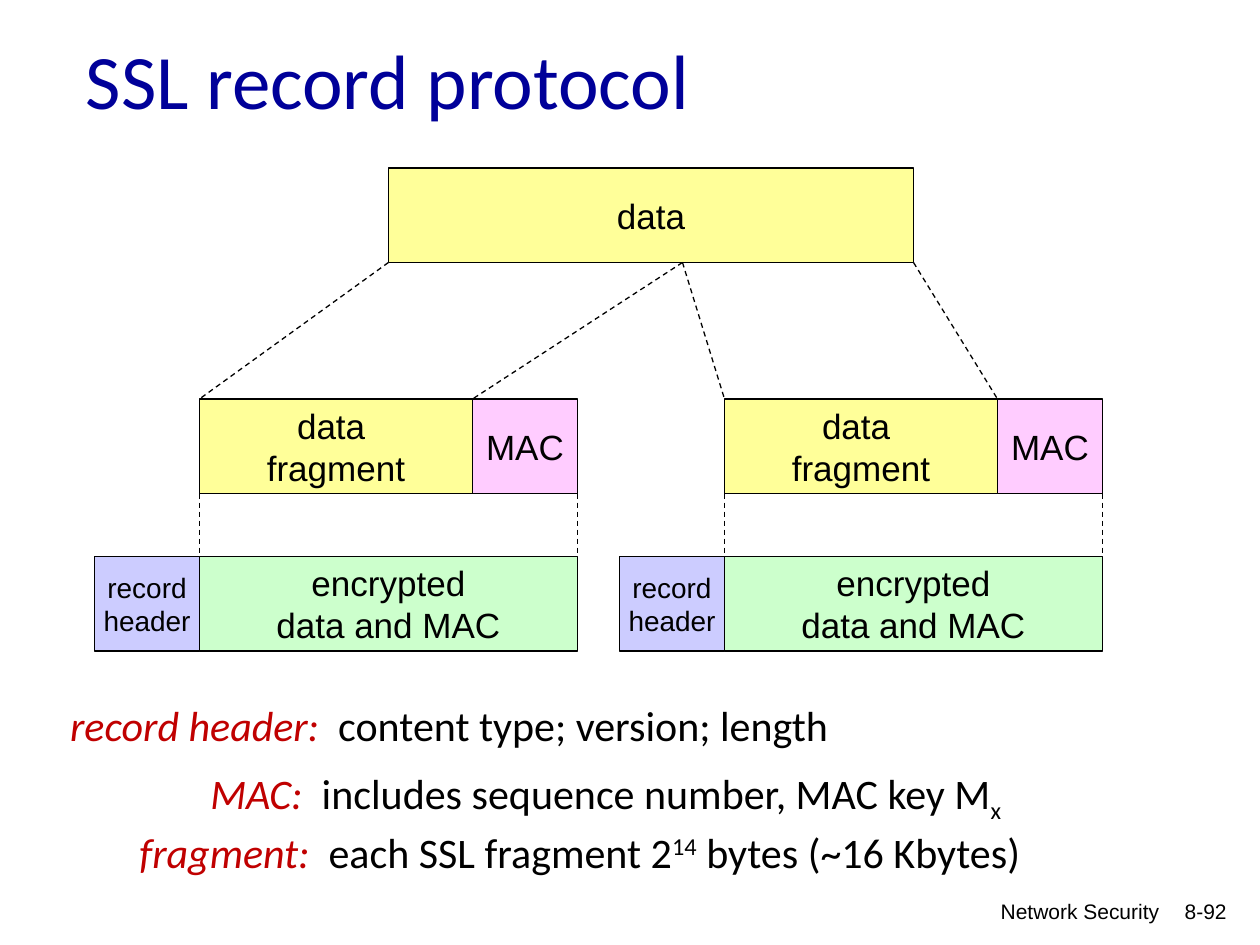
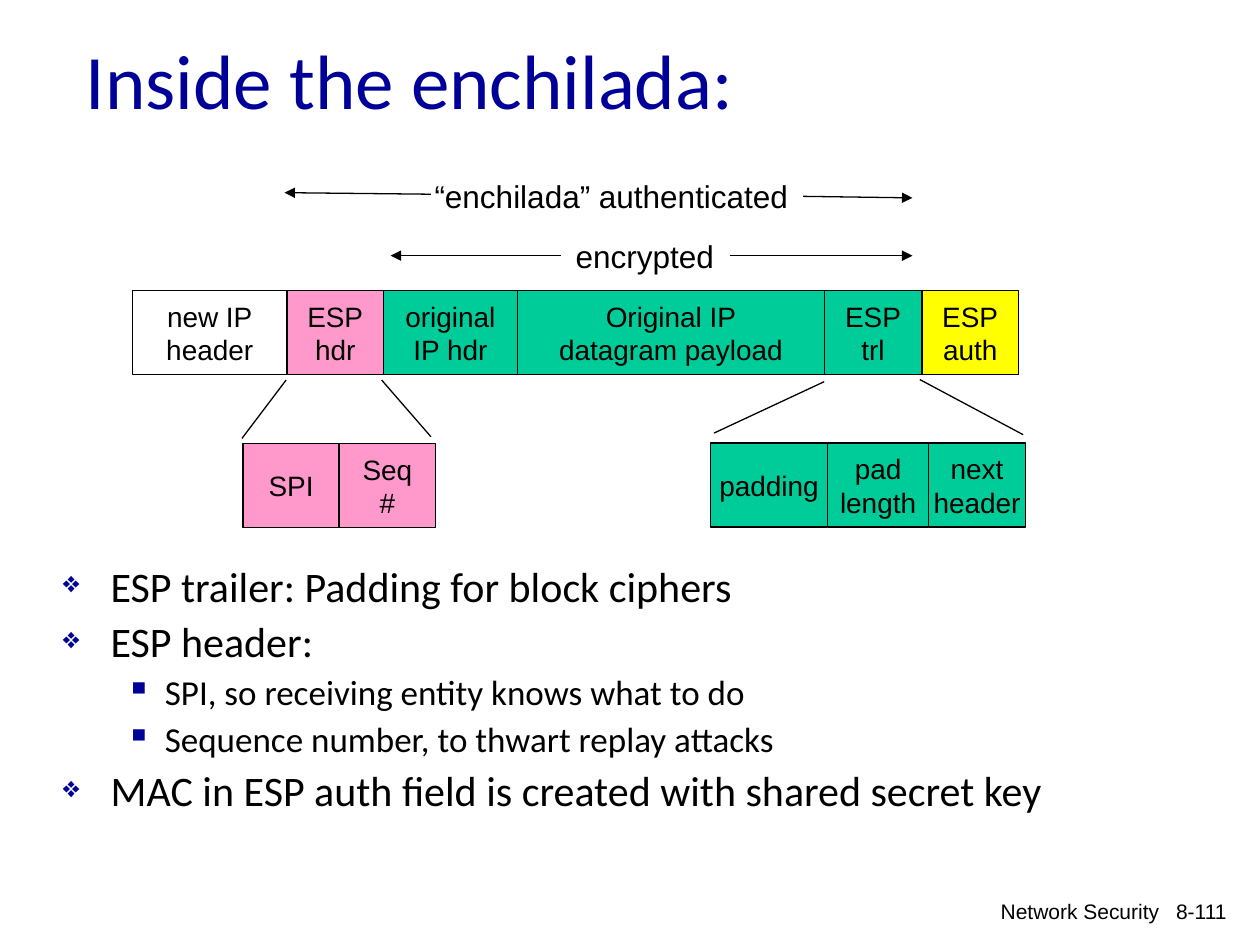
from itertools import accumulate

from lxml.etree import SubElement
from pptx import Presentation
from pptx.dml.color import RGBColor
from pptx.enum.dml import MSO_LINE
from pptx.enum.shapes import MSO_CONNECTOR, MSO_SHAPE
from pptx.enum.text import MSO_ANCHOR as Anchor, MSO_AUTO_SIZE as AutoSize, PP_ALIGN as Align
from pptx.oxml.ns import qn
from pptx.util import Inches, Pt

# Shared grid: 120 columns by 90 rows of 1/12 inch
UNIT = Inches(1) / 12
COLORS = {
    "ink": "000000", "title": "000099", "term": "C00000",
    "data": "FFFF99", "mac": "FFCCFF", "encrypted": "CCFFCC", "record": "CCCCFF",
    "header": "FF99CC", "secret": "00CC99", "auth": "FFFF00",
}

deck = Presentation()
deck.slide_width, deck.slide_height = round(120 * UNIT), round(90 * UNIT)


def add_block(slide, place, lines, size, font="Arial", align=Align.LEFT, anchor=Anchor.TOP,
              color="ink", wrap=True, fill=None, framed=False):
    """Lines are strings or lists of (text, colour, italic, baseline) runs."""
    place = [round(length * UNIT) for length in place]
    if framed:
        block = slide.shapes.add_shape(MSO_SHAPE.RECTANGLE, *place)
        block.shadow.inherit = False
        if fill:
            block.fill.solid()
            block.fill.fore_color.rgb = RGBColor.from_string(COLORS[fill])
        else:
            block.fill.background()
        block.line.color.rgb = RGBColor.from_string(COLORS["ink"])
        block.line.width = Pt(0.75)
        align, anchor, wrap = Align.CENTER, Anchor.MIDDLE, False
    else:
        block = slide.shapes.add_textbox(*place)
        if not wrap:
            block.text_frame.auto_size = AutoSize.SHAPE_TO_FIT_TEXT
    frame = block.text_frame
    frame.word_wrap, frame.vertical_anchor = wrap, anchor
    for index, line in enumerate(lines):
        paragraph = frame.add_paragraph() if index else frame.paragraphs[0]
        paragraph.alignment = align
        for text, tone, italic, baseline in [(line, color, False, 0)] if isinstance(line, str) else line:
            run = paragraph.add_run()
            run.text = text
            run.font.name, run.font.size, run.font.italic = font, Pt(size), italic
            run.font.color.rgb = RGBColor.from_string(COLORS[tone])
            if baseline:
                run.font._element.set("baseline", str(baseline * 1000))
    return frame


def add_line(slide, start, end, dashed=False, arrow=False):
    line = slide.shapes.add_connector(
        MSO_CONNECTOR.STRAIGHT, *[round(length * UNIT) for length in (*start, *end)])
    line.line.color.rgb = RGBColor.from_string(COLORS["ink"])
    line.line.width = Pt(0.75)
    if dashed:
        line.line.dash_style = MSO_LINE.DASH
    if arrow:
        SubElement(line.line._get_or_add_ln(), qn("a:tailEnd"), type="triangle")
    SubElement(line._element.spPr, qn("a:effectLst"))


# Titles and footers
slides = []
for title, number in [("SSL record protocol", "8-92"), ("Inside the enchilada:", "8-111")]:
    slide = deck.slides.add_slide(deck.slide_layouts[6])
    add_block(slide, (109, 85, 9, 4), [number], 12, align=Align.RIGHT)
    add_block(slide, (61, 85, 50.6, 4), ["Network Security"], 12, align=Align.RIGHT)
    add_block(slide, (7, 0, 102, 15), [title], 44, "Calibri", anchor=Anchor.MIDDLE, color="title")
    slides.append(slide)
record, enchilada = slides

# Record protocol: data is split into two fragments
DATA_ROW, FRAGMENT_ROW, RECORD_ROW, TALL = 16, 38, 53, 9
SPLIT = 65
add_block(record, (37, DATA_ROW, 50, TALL), ["data"], 20, fill="data", framed=True)
for left, data_start, data_end in [(19, 37, SPLIT), (69, SPLIT, 87)]:
    for offset, row, width, lines, size, fill in [
        (0, FRAGMENT_ROW, 26, ["data ", "fragment"], 20, "data"),
        (26, FRAGMENT_ROW, 10, ["MAC"], 20, "mac"),
        (0, RECORD_ROW, 36, ["encrypted", "data and MAC"], 20, "encrypted"),
        (-10, RECORD_ROW, 10, ["record", "header"], 16, "record"),
    ]:
        add_block(record, (left + offset, row, width, TALL), lines, size, fill=fill, framed=True)
    for edge in (left, left + 36):
        add_line(record, (edge, FRAGMENT_ROW + TALL), (edge, RECORD_ROW), dashed=True)
    for source, target in [(data_start, left), (data_end, left + 26)]:
        add_line(record, (source, DATA_ROW + TALL), (target, FRAGMENT_ROW), dashed=True)

# Record protocol: definitions
for place, term, meaning in [
    ((5.5, 66, 85.5, 6), "record header:  ", [("content type; version; length", 0)]),
    ((18.85, 72.5, 88.3, 6.7), "MAC:  ", [("includes sequence number, MAC key M", 0), ("x", -25)]),
    ((12.1, 78.1, 98.3, 6), "fragment:  ",
     [("each SSL fragment 2", 0), ("14", 30), (" bytes (~16 Kbytes)", 0)]),
]:
    runs = [(term, "term", True, 0)] + [(text, "ink", False, base) for text, base in meaning]
    add_block(record, place, [runs], 24, "Calibri", wrap=False)

# Enchilada: bullets as (level, text)
points = [
    (0, "ESP trailer: Padding for block ciphers"),
    (0, "ESP header:"),
    (1, "SPI, so receiving entity knows what to do"),
    (1, "Sequence number, to thwart replay attacks"),
    (0, "MAC in ESP auth field is created with shared secret key"),
]
# Per level: mark, mark size in percent, margin, hang, text size, space before
levels = [("❖", 70, 0.38, 0.38, 24, 6), ("▪", 100, 0.81, 0.31, 20, 5)]
body = add_block(enchilada, (4.8, 53.3, 102, 31), [text for _, text in points], 24, "Calibri")
for index, (paragraph, (level, _)) in enumerate(zip(body.paragraphs, points)):
    mark, percent, margin, hang, size, space = levels[level]
    props = paragraph._p.get_or_add_pPr()
    props.set("marL", str(Inches(margin)))
    props.set("indent", str(-Inches(hang)))
    paragraph.level = level
    paragraph.line_spacing = 0.9
    paragraph.space_before = Pt(space if index else 0)
    SubElement(SubElement(props, qn("a:buClr")), qn("a:srgbClr"), val=COLORS["title"])
    SubElement(props, qn("a:buSzPct"), val=str(percent * 1000))
    SubElement(props, qn("a:buChar"), char=mark)
    paragraph.runs[0].font.size = Pt(size)

# Enchilada: packet, header detail and trailer detail, each packed from the left
for left, top, fields in [
    (12.6, 27.7, [
        (14.75, ["new IP", "header"], None),
        (9.15, ["ESP", "hdr"], "header"),
        (12.8, ["original", "IP hdr"], "secret"),
        (29.2, ["Original IP", "datagram payload"], "secret"),
        (9.3, ["ESP", "trl"], "secret"),
        (9.2, ["ESP", "auth"], "auth")]),
    (67.7, 42.2, [
        (11.1, ["padding"], "secret"),
        (9.65, ["pad", "length"], "secret"),
        (9.2, ["next", "header"], "secret")]),
    (23.15, 42.25, [(9.15, ["SPI"], "header"), (9.2, ["Seq", "#"], "header")]),
]:
    starts = accumulate([width for width, _, _ in fields], initial=left)
    for start, (width, lines, fill) in zip(starts, fields):
        add_block(enchilada, (start, top, width, 8), lines, 16, fill=fill, framed=True)

# Enchilada: spans with their labels
add_block(enchilada, (53.65, 22, 15.6, 4.8), ["encrypted"], 18, wrap=False)
add_block(enchilada, (40.2, 16.3, 36.1, 4.8), ["“enchilada” authenticated"], 18, wrap=False)
for start, end in [
    ((69.5, 24.35), (86.9, 24.35)), ((53.4, 24.35), (37.2, 24.35)),
    ((76.5, 18.7), (86.9, 18.85)), ((41.05, 18.5), (27.1, 18.35)),
]:
    add_line(enchilada, start, end, arrow=True)

# Enchilada: lines from fields to their details
for start, end in [
    ((68, 41.25), (78.5, 36.35)), ((97.45, 41.4), (87.6, 36.15)),
    ((23.05, 41.75), (27.25, 36.2)), ((36.35, 36.2), (41.05, 41.6)),
]:
    add_line(enchilada, start, end)

deck.save("out.pptx")
